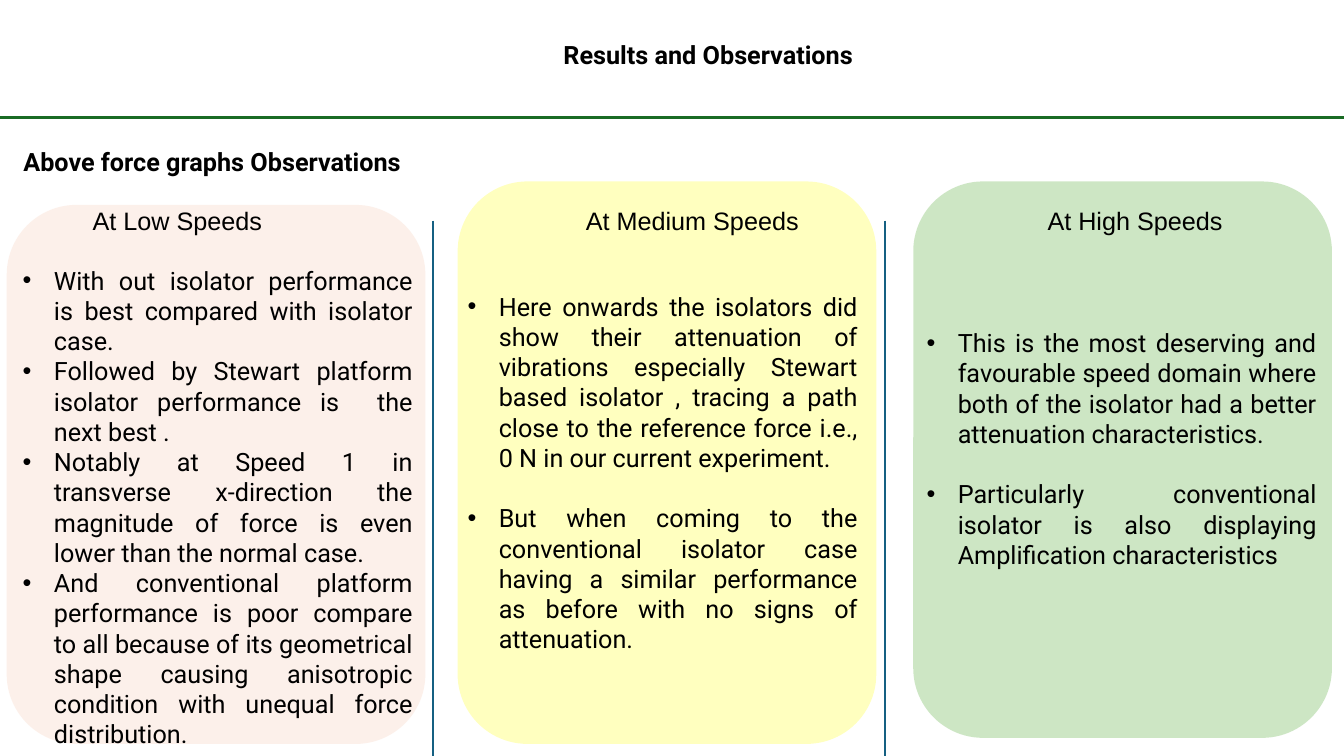
from dataclasses import dataclass

from lxml import etree
from pptx import Presentation, util as u
from pptx.dml.color import RGBColor
from pptx.enum import shapes, text
from pptx.oxml import ns

SLIDE_WIDTH, SLIDE_HEIGHT = u.Inches(13.33), u.Inches(7.5)


@dataclass(frozen=True)
class Theme:
    ink: str = "000000"
    rule: str = "196B24"
    divider: str = "156082"
    low: str = "F6C6AD"
    medium: str = "FFFF00"
    high: str = "4EA72E"
    size: float = 18
    paragraph_gap: float = 21.6
    indent: float = 0.31
    body_font: str = "Roboto"
    heading_font: str = "Arial"


THEME = Theme()

# Horizontal and vertical places are percentages of the slide's width and height.
HEADING_TOP, LINE_HEIGHT = 26.5, 5.3
PANEL_WIDTH, BODY_WIDTH = 31.15, 30.5
DIVIDERS, DIVIDER_TOP = (32.25, 65.85), 29.2
RULE_TOP = 15.6

SPEEDS = [
    dict(
        heading="At Low Speeds", heading_place=(6.15, 14.3),
        panel=(0.5, 27.1, PANEL_WIDTH, 71.3), color=THEME.low, opacity=25,
        body=(0.95, 34.4, BODY_WIDTH, 66), gap=0,
        points=[
            "With out isolator performance is best compared with isolator case.",
            "Followed by Stewart platform isolator performance is  the next best .",
            "Notably at Speed 1 in transverse x-direction the magnitude of force "
            "is even lower than the normal case.",
            "And conventional platform performance is poor compare to all because of its "
            "geometrical shape causing anisotropic condition with unequal force distribution.",
        ],
    ),
    dict(
        heading="At Medium Speeds", heading_place=(42.85, 17.85),
        panel=(34.05, 24, PANEL_WIDTH, 74.4), color=THEME.medium, opacity=25,
        body=(34.05, 37.85, BODY_WIDTH, 49.9), gap=THEME.paragraph_gap,
        points=[
            "Here onwards the isolators did show their attenuation of vibrations especially "
            "Stewart based isolator , tracing a path close to the reference force i.e., "
            "0 N in our current experiment.",
            "But when coming to the conventional isolator case having a similar performance "
            "as before with no signs of attenuation.",
        ],
    ),
    dict(
        heading="At High Speeds", heading_place=(77.2, 15),
        panel=(67.95, 24, PANEL_WIDTH, 73.6), color=THEME.high, opacity=28,
        body=(68.2, 42.65, BODY_WIDTH, 41.7), gap=THEME.paragraph_gap,
        points=[
            "This is the most deserving and favourable speed domain where both of the "
            "isolator had a better attenuation characteristics.",
            "Particularly conventional isolator is also displaying "
            "Amplification characteristics",
        ],
    ),
]


def across(share):
    return round(SLIDE_WIDTH * share / 100)


def down(share):
    return round(SLIDE_HEIGHT * share / 100)


def frame(left, top, width, height):
    return across(left), down(top), across(width), down(height)


def apply(target, **values):
    for name, value in values.items():
        setattr(target, name, value)


def format_font(para, font=THEME.body_font, bold=False):
    for span in para.runs:
        apply(span.font, name=font, size=u.Pt(THEME.size), bold=bold)
        span.font.color.rgb = RGBColor.from_string(THEME.ink)


def add_title(page, wording, place):
    title = page.shapes.title
    apply(title, **dict(zip(("left", "top", "width", "height"), frame(*place))))
    apply(title.text_frame, text=wording, word_wrap=True,
          auto_size=text.MSO_AUTO_SIZE.NONE, vertical_anchor=text.MSO_ANCHOR.MIDDLE)
    para = title.text_frame.paragraphs[0]
    para.alignment = text.PP_ALIGN.CENTER
    format_font(para, bold=True)


def add_text(page, wording, place, **font_values):
    box = page.shapes.add_textbox(*frame(*place))
    apply(box.text_frame, text=wording, word_wrap=True)
    format_font(box.text_frame.paragraphs[0], **font_values)


def add_bullets(page, points, place, gap):
    box = page.shapes.add_textbox(*frame(*place))
    box.text_frame.word_wrap = True
    for index, point in enumerate(points):
        para = box.text_frame.paragraphs[0] if index == 0 else box.text_frame.add_paragraph()
        para.text = point
        para.alignment = text.PP_ALIGN.JUSTIFY
        if index and gap:
            para.space_before = u.Pt(gap)
        properties = para._p.get_or_add_pPr()
        properties.set("marL", str(u.Inches(THEME.indent)))
        properties.set("indent", str(-u.Inches(THEME.indent)))
        etree.SubElement(properties, ns.qn("a:buFont")).set("typeface", THEME.heading_font)
        etree.SubElement(properties, ns.qn("a:buChar")).set("char", "•")
        format_font(para)


def add_panel(page, place, color, opacity):
    panel = page.shapes.add_shape(shapes.MSO_SHAPE.ROUNDED_RECTANGLE, *frame(*place))
    panel.shadow.inherit = False
    panel.line.fill.background()
    panel.fill.solid()
    panel.fill.fore_color.rgb = RGBColor.from_string(color)
    tint = panel._element.spPr.find(".//" + ns.qn("a:srgbClr"))
    etree.SubElement(tint, ns.qn("a:alpha")).set("val", str(opacity * 1000))


def add_line(page, start, end, color, weight):
    line = page.shapes.add_connector(
        shapes.MSO_CONNECTOR.STRAIGHT,
        across(start[0]), down(start[1]), across(end[0]), down(end[1]))
    line.line.color.rgb = RGBColor.from_string(color)
    line.line.width = u.Pt(weight)
    etree.SubElement(line._element.spPr, ns.qn("a:effectLst"))


def main():
    deck = Presentation()
    apply(deck, slide_width=SLIDE_WIDTH, slide_height=SLIDE_HEIGHT)
    page = deck.slides.add_slide(deck.slide_layouts.get_by_name("Title Only"))

    add_title(page, "Results and Observations", (29.25, 4.55, 46.9, LINE_HEIGHT))
    add_line(page, (0, RULE_TOP), (100, RULE_TOP), THEME.rule, 2)
    for speed in SPEEDS:
        add_panel(page, speed["panel"], speed["color"], speed["opacity"])
    add_text(page, "Above force graphs Observations",
             (1, 18.65, 34.75, LINE_HEIGHT), bold=True)
    for left in DIVIDERS:
        add_line(page, (left, DIVIDER_TOP), (left, 100), THEME.divider, 1.5)
    for speed in SPEEDS:
        left, width = speed["heading_place"]
        add_text(page, speed["heading"], (left, HEADING_TOP, width, LINE_HEIGHT),
                 font=THEME.heading_font)
        add_bullets(page, speed["points"], speed["body"], speed["gap"])

    deck.save("out.pptx")


if __name__ == "__main__":
    main()
